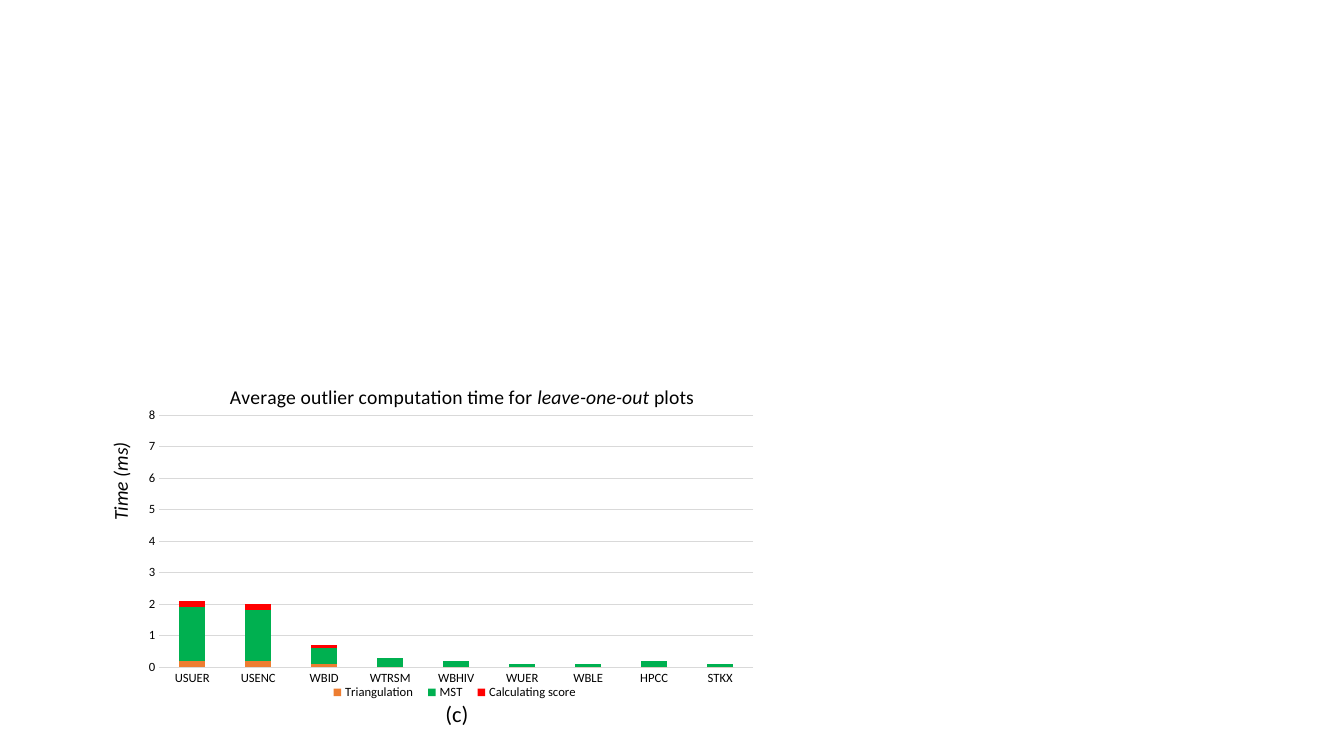
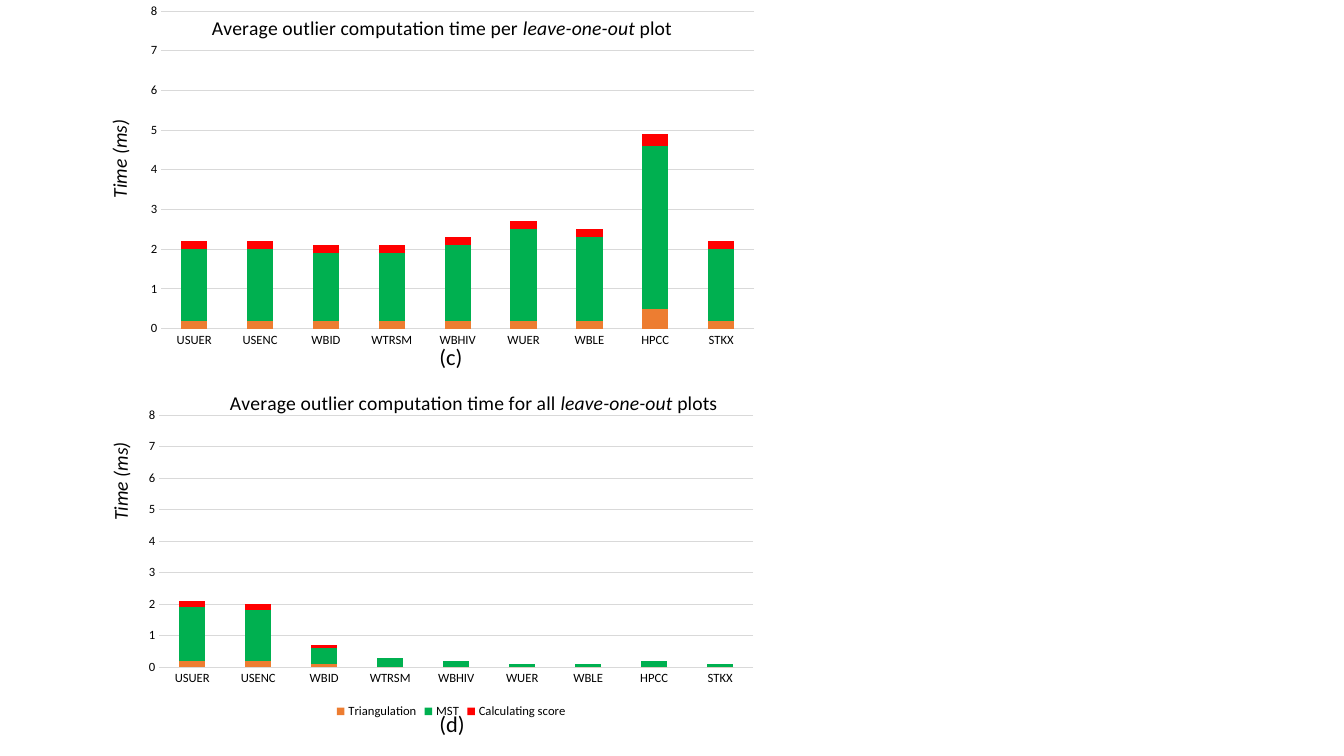
from itertools import cycle
from lxml import etree
from pptx import Presentation
from pptx.chart.data import CategoryChartData as Data
from pptx.dml.color import RGBColor
from pptx.enum.chart import XL_CHART_TYPE as Type, XL_LEGEND_POSITION as Pos
from pptx.enum.chart import XL_TICK_MARK as Tick
from pptx.enum.text import MSO_AUTO_SIZE as Auto, PP_ALIGN as Align
from pptx.oxml.ns import qn
from pptx.util import Inches, Pt

SITES = ["USUER", "USENC", "WBID", "WTRSM", "WBHIV", "WUER", "WBLE", "HPCC", "STKX"]
STEPS = ["Triangulation", "MST", "Calculating score"]
ALL_TIMES = [
    [0.2, 0.2, 0.1, 0, 0, 0, 0, 0, 0],
    [1.7, 1.6, 0.5, 0.3, 0.2, 0.1, 0.1, 0.2, 0.1],
    [0.2, 0.2, 0.1, 0, 0, 0, 0, 0, 0],
]
PLOT_TIMES = [
    [0.2, 0.2, 0.2, 0.2, 0.2, 0.2, 0.2, 0.5, 0.2],
    [1.8, 1.8, 1.7, 1.7, 1.9, 2.3, 2.1, 4.1, 1.8],
    [0.2, 0.2, 0.2, 0.2, 0.2, 0.2, 0.2, 0.3, 0.2],
]
# Chart frames on the slide, and plot areas within them, in inches
LOW = (1.35, 3.5, 6.25, 3.67)
HIGH = (1.37, -0.52, 6.23, 4.04)
LOW_PLOT = (0.23, 0.62, 5.89, 2.5)
HIGH_PLOT = (0.23, 0.63, 5.88, 3.15)


def rgb(code):
    return RGBColor.from_string(code)


def place(node, index, box, frame, inner=False):
    """Fix a chart part at a box in inches within the chart frame."""
    for old in node.findall(qn("c:layout")):
        node.remove(old)
    layout = etree.Element(qn("c:layout"))
    manual = etree.SubElement(layout, qn("c:manualLayout"))
    items = [("layoutTarget", "inner")] if inner else []
    items += [("xMode", "edge"), ("yMode", "edge")]
    items += [(name, length / whole)
              for name, length, whole in zip("xywh", box, cycle(frame[2:]))]
    for name, value in items:
        etree.SubElement(manual, qn("c:" + name)).set("val", str(value))
    node.insert(index, layout)


class Deck:
    face = "Calibri"
    ink = "000000"
    rule = "D9D9D9"
    fills = ["ED7D31", "00B050", "FF0000"]

    def __init__(self):
        self.prs = Presentation()
        self.prs.slide_width = Inches(13.33)
        self.prs.slide_height = Inches(7.5)
        self.slide = None

    def page(self):
        self.slide = self.prs.slides.add_slide(self.prs.slide_layouts[6])

    def style(self, font, size, slant=False):
        font.name, font.size = self.face, Pt(size)
        font.bold, font.italic = False, slant
        font.color.rgb = rgb(self.ink)

    def line(self, form):
        form.line.color.rgb = rgb(self.rule)
        form.line.width = Pt(0.75)

    def label(self, text, box, size=16, slant=False, turn=0):
        shape = self.slide.shapes.add_textbox(*map(Inches, box))
        shape.rotation = turn
        frame = shape.text_frame
        frame.word_wrap = False
        frame.auto_size = Auto.SHAPE_TO_FIT_TEXT
        frame.text = text
        para = frame.paragraphs[0]
        para.alignment = Align.LEFT
        self.style(para.runs[0].font, size, slant)

    def unit(self, left, top):
        self.label("Time (ms)", (left, top, 0.99, 0.34), 14, True, 270)

    def title(self, chart, parts, spot, frame):
        title = chart.chart_title
        para = title.text_frame.paragraphs[0]
        for i, part in enumerate(parts):
            run = para.add_run()
            run.text = part
            self.style(run.font, 14, i == 1)
        node = title._element
        place(node, 1, spot, frame)
        node.find(qn("c:overlay")).set("val", "1")

    def axes(self, chart):
        cat, val = chart.category_axis, chart.value_axis
        for axis in (cat, val):
            axis.major_tick_mark = axis.minor_tick_mark = Tick.NONE
            self.style(axis.tick_labels.font, 9)
        self.line(cat.format)
        val.format.line.fill.background()
        val.minimum_scale, val.maximum_scale, val.major_unit = 0, 8, 1
        val.has_major_gridlines = True
        self.line(val.major_gridlines.format)
        val.tick_labels.number_format = "General"
        val.tick_labels.number_format_is_linked = False

    def legend(self, chart, box=None, frame=None):
        chart.has_legend = True
        chart.legend.position = Pos.BOTTOM
        chart.legend.include_in_layout = False
        self.style(chart.legend.font, 9)
        if box:
            place(chart.legend._element, 1, box, frame)

    def chart(self, box, names, rows, parts, spot, plot):
        data = Data()
        data.categories = SITES
        for name, row in zip(names, rows):
            data.add_series(name, row)
        chart = self.slide.shapes.add_chart(
            Type.COLUMN_STACKED, *map(Inches, box), data).chart
        self.style(chart.font, 10)
        chart.has_legend = False
        self.title(chart, parts, spot, box)
        self.axes(chart)
        bars = chart.plots[0]
        bars.gap_width, bars.overlap = 150, 100
        bars.vary_by_categories = False
        for series, fill in zip(bars.series, self.fills):
            series.format.fill.solid()
            series.format.fill.fore_color.rgb = rgb(fill)
        place(chart._chartSpace.chart.plotArea, 0, plot, box, True)
        return chart


def main():
    deck = Deck()

    # Slide 1: one chart with its legend
    deck.page()
    chart = deck.chart(
        LOW, STEPS, ALL_TIMES,
        ["Average outlier computation time for ", "leave-one-out", " plots"],
        (0.9, 0.28), LOW_PLOT)
    deck.legend(chart, (1.85, 3.28, 2.62, 0.18), LOW)
    deck.unit(0.7, 4.6)
    deck.label("(c)", (4.32, 6.9, 0.43, 0.37))

    # Slide 2: all plots below, time per plot above
    deck.page()
    chart = deck.chart(
        LOW, STEPS, ALL_TIMES,
        ["Average outlier computation time for all ", "leave-one-out", " plots"],
        (0.9, 0.33), LOW_PLOT)
    deck.legend(chart)
    deck.chart(
        HIGH, ["Series 1", "Series 2", "Series 3"], PLOT_TIMES,
        ["Average outlier computation time per ", "leave-one-out", " plot"],
        (0.7, 0.63), HIGH_PLOT)
    deck.unit(0.7, 4.6)
    deck.unit(0.69, 1.4)
    deck.label("(c)", (4.26, 3.36, 0.45, 0.37))
    deck.label("(d)", (4.26, 7, 0.46, 0.37))

    deck.prs.save("out.pptx")


if __name__ == "__main__":
    main()
